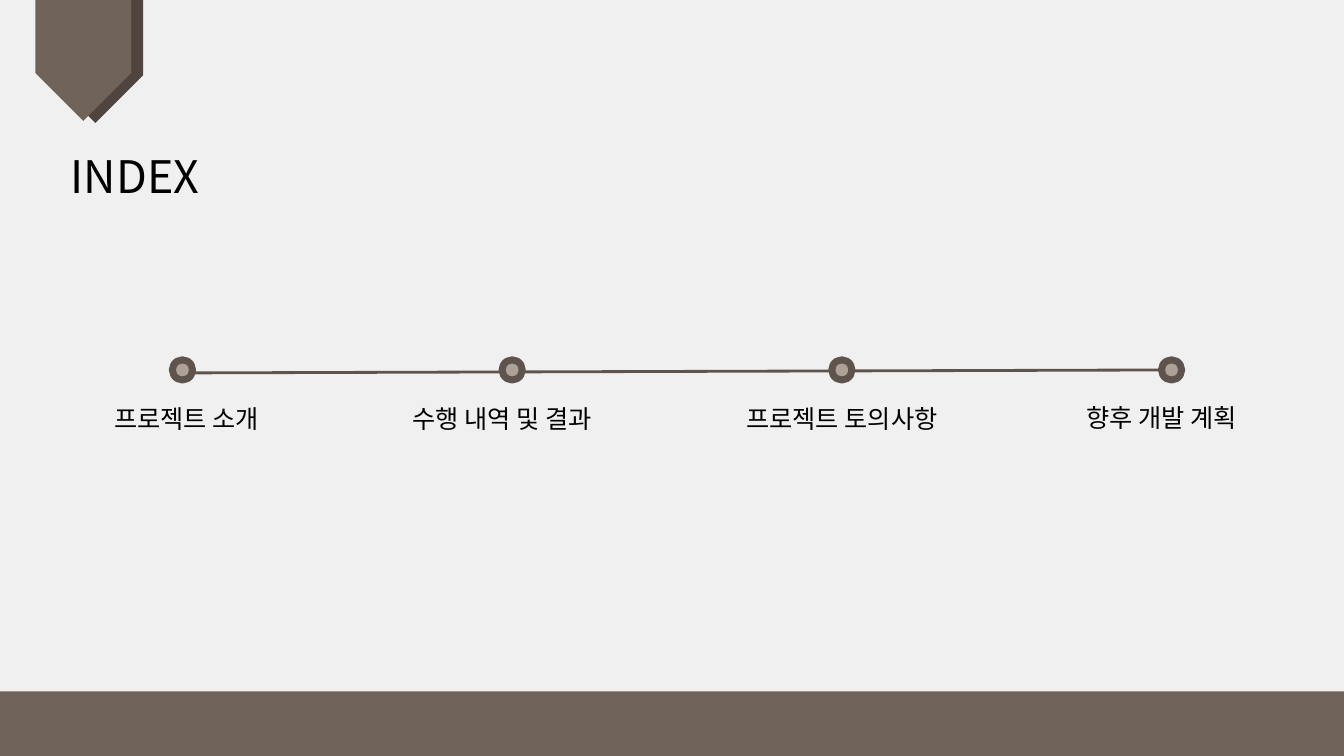
from lxml.etree import SubElement
from pptx import Presentation
from pptx.dml.color import RGBColor
from pptx.enum.shapes import MSO_CONNECTOR, MSO_SHAPE
from pptx.enum.text import MSO_AUTO_SIZE, PP_ALIGN
from pptx.oxml.ns import qn
from pptx.util import Inches, Pt

FONT = "Noto Sans CJK KR"
PAPER = RGBColor(0xF0, 0xF0, 0xF0)
BROWN = RGBColor(0x70, 0x63, 0x5A)
DARK_BROWN = RGBColor(0x50, 0x45, 0x3E)
LINE_BROWN = RGBColor(0x5F, 0x54, 0x4D)
DOT_BEIGE = RGBColor(0xAE, 0xA1, 0x98)
BLACK = RGBColor(0, 0, 0)


def add_shape(slide, kind, x, y, w, h, fill):
    """Add a preset shape with a plain fill and no outline."""
    sp = slide.shapes.add_shape(kind, Inches(x), Inches(y), Inches(w), Inches(h))
    sp.shadow.inherit = False
    sp.fill.solid()
    sp.fill.fore_color.rgb = fill
    sp.line.fill.background()
    return sp


def add_text(slide, text, x, y, w, h, size):
    """Add a centred line of black text."""
    sp = slide.shapes.add_textbox(Inches(x), Inches(y), Inches(w), Inches(h))
    tf = sp.text_frame
    tf.word_wrap = True
    tf.auto_size = MSO_AUTO_SIZE.SHAPE_TO_FIT_TEXT
    p = tf.paragraphs[0]
    p.text = text
    p.alignment = PP_ALIGN.CENTER
    p.font.size = Pt(size)
    p.font.name = FONT
    p.font.color.rgb = BLACK
    for r in p.runs:
        SubElement(r.font._element, qn("a:ea"), typeface=FONT)


def add_ribbon(slide, x, y, w, h):
    """Hang a ribbon with a darker ribbon behind it from the top edge."""
    for dx, length, fill in ((0.12, h + 0.02, DARK_BROWN), (0, h, BROWN)):
        left = x + dx + (w - length) / 2
        top = y + (length - w) / 2
        sp = add_shape(slide, MSO_SHAPE.PENTAGON, left, top, length, w, fill)
        sp.rotation = 90


def add_timeline(slide, x, y, w, labels):
    """Draw evenly spaced dots on a line, with a label under each dot."""
    dot = 0.2
    line = slide.shapes.add_connector(
        MSO_CONNECTOR.STRAIGHT, Inches(x + 0.03), Inches(y + 0.03),
        Inches(x + w + 0.1), Inches(y))
    line.line.color.rgb = LINE_BROWN
    line.line.width = Pt(2)
    SubElement(line._element.spPr, qn("a:effectLst"))
    step = w / (len(labels) - 1)
    for i, (text, dx, dy, width) in enumerate(labels):
        cx = x + i * step
        sp = add_shape(slide, MSO_SHAPE.OVAL, cx - dot / 2, y - dot / 2, dot, dot, DOT_BEIGE)
        sp.line.color.rgb = LINE_BROWN
        sp.line.width = Pt(5)
        add_text(slide, text, cx + dx - width / 2, y + dy, width, 0.4, 18)


def build_index(slide, w, h):
    """Build the index slide."""
    add_shape(slide, MSO_SHAPE.RECTANGLE, 0, 0, w, h, PAPER)
    add_ribbon(slide, 0.35, 0, 0.95, 1.2)
    add_text(slide, "INDEX", 0.35, 1.43, 1.98, 0.64, 32)
    add_timeline(slide, 1.81, 3.67, 9.81, [
        ("프로젝트 소개", 0.04, 0.28, 1.97),
        ("수행 내역 및 결과", -0.1, 0.28, 2.43),
        ("프로젝트 토의사항", 0, 0.28, 2.43),
        ("향후 개발 계획", -0.1, 0.27, 1.92),
    ])
    add_shape(slide, MSO_SHAPE.RECTANGLE, -0.06, h - 0.64, w + 0.06, 0.64, BROWN)


def main():
    """Create the presentation."""
    prs = Presentation()
    prs.slide_width, prs.slide_height = Inches(13.33), Inches(7.5)
    build_index(prs.slides.add_slide(prs.slide_layouts[6]), 13.33, 7.5)
    prs.save("out.pptx")


if __name__ == "__main__":
    main()
